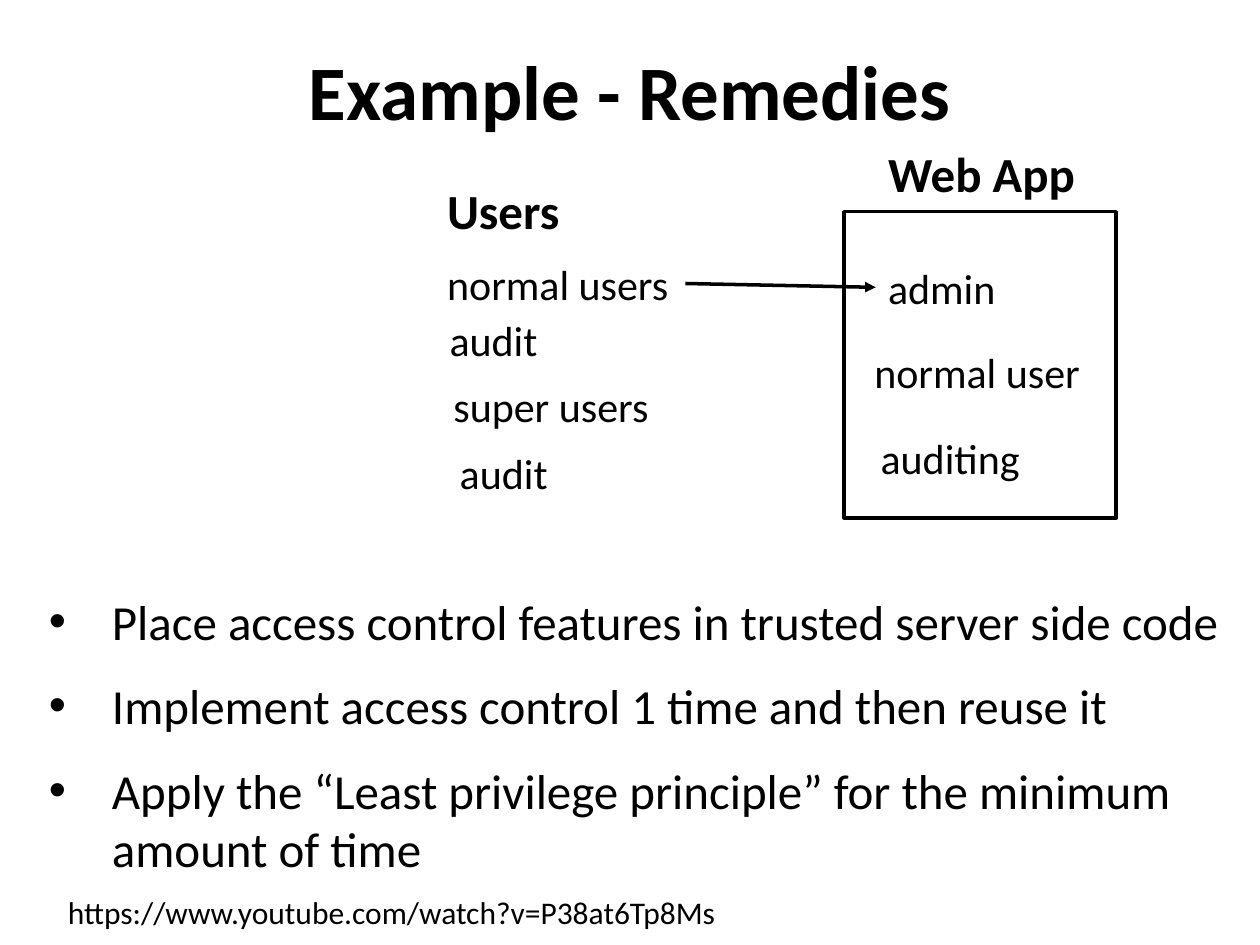
"""Build the slide on remedies for broken access control."""
from lxml.etree import SubElement
from pptx import Presentation
from pptx.dml.color import RGBColor
from pptx.enum.shapes import MSO_CONNECTOR, MSO_SHAPE
from pptx.enum.text import MSO_ANCHOR, MSO_AUTO_SIZE, PP_ALIGN
from pptx.oxml.ns import qn
from pptx.util import Pt

COLOURS = {"ink": "000000", "paper": "FFFFFF"}
INK = RGBColor.from_string(COLOURS["ink"])
PAPER = RGBColor.from_string(COLOURS["paper"])


def add_box(left, top, width, height, wrap=False):
    box = slide.shapes.add_textbox(Pt(left), Pt(top), Pt(width), Pt(height))
    box.text_frame.word_wrap = wrap
    box.text_frame.auto_size = MSO_AUTO_SIZE.SHAPE_TO_FIT_TEXT
    return box.text_frame


def add_span(para, text, size, bold=False):
    span = para.add_run()
    span.text = text
    span.font.name = "Calibri"
    span.font.size = Pt(size)
    span.font.bold = bold
    span.font.color.rgb = INK


deck = Presentation()
deck.slide_width, deck.slide_height = Pt(720), Pt(540)
slide = deck.slides.add_slide(deck.slide_layouts[6])
slide.background.fill.solid()
slide.background.fill.fore_color.rgb = PAPER

title = add_box(36, 6.5, 648, 90, wrap=True)
title.auto_size = MSO_AUTO_SIZE.NONE
title.vertical_anchor = MSO_ANCHOR.MIDDLE
title.paragraphs[0].alignment = PP_ALIGN.CENTER
add_span(title.paragraphs[0], "Example - Remedies", 44, bold=True)

web_app = slide.shapes.add_shape(MSO_SHAPE.RECTANGLE, Pt(482.4), Pt(121), Pt(155.5), Pt(175))
web_app.shadow.inherit = False
web_app.fill.solid()
web_app.fill.fore_color.rgb = PAPER
web_app.line.color.rgb = INK
web_app.line.width = Pt(2)

headings = [("Web App", 500.4, 78.5, 123), ("Users", 248.4, 99.4, 80)]
for text, left, top, width in headings:
    add_span(add_box(left, top, width, 41).paragraphs[0], text, 28, bold=True)

labels = [
    ("admin", 500.4, 146.2, 76.3),
    ("normal user", 492.5, 194.4, 133.2),
    ("auditing", 496.1, 243.4, 95),
    ("normal users", 248.4, 144, 142.6),
    ("audit", 249.8, 176.4, 65.5),
    ("super users", 252, 213.8, 127.4),
    ("audit", 255.6, 252, 65.5),
]
for text, left, top, width in labels:
    add_span(add_box(left, top, width, 36).paragraphs[0], text, 24)

arrow = slide.shapes.add_connector(
    MSO_CONNECTOR.STRAIGHT, Pt(391.7), Pt(162), Pt(500.4), Pt(164.2))
arrow.line.color.rgb = INK
arrow.line.width = Pt(2)
SubElement(arrow.line._get_or_add_ln(), qn("a:tailEnd"), type="triangle")
SubElement(arrow._element.spPr, qn("a:effectLst"))

remedies = [
    "Place access control features in trusted server side code",
    "Implement access control 1 time and then reuse it",
    "Apply the “Least privilege principle” for the minimum amount of time",
]
remedy_list = add_box(20.9, 334.3, 699, 186, wrap=True)
for index, remedy in enumerate(remedies):
    para = remedy_list.paragraphs[0] if index == 0 else remedy_list.add_paragraph()
    properties = para._p.get_or_add_pPr()
    properties.set("marL", str(Pt(36)))
    properties.set("indent", str(Pt(-36)))
    SubElement(properties, qn("a:buFont"), typeface="Arial")
    SubElement(properties, qn("a:buChar"), char="•")
    if index:
        para.space_before = Pt(14.65)
    add_span(para, remedy, 28)

reference = add_box(31.7, 506.9, 507, 29, wrap=True)
add_span(reference.paragraphs[0], "https://www.youtube.com/watch?v=P38at6Tp8Ms", 18)

deck.save("out.pptx")
